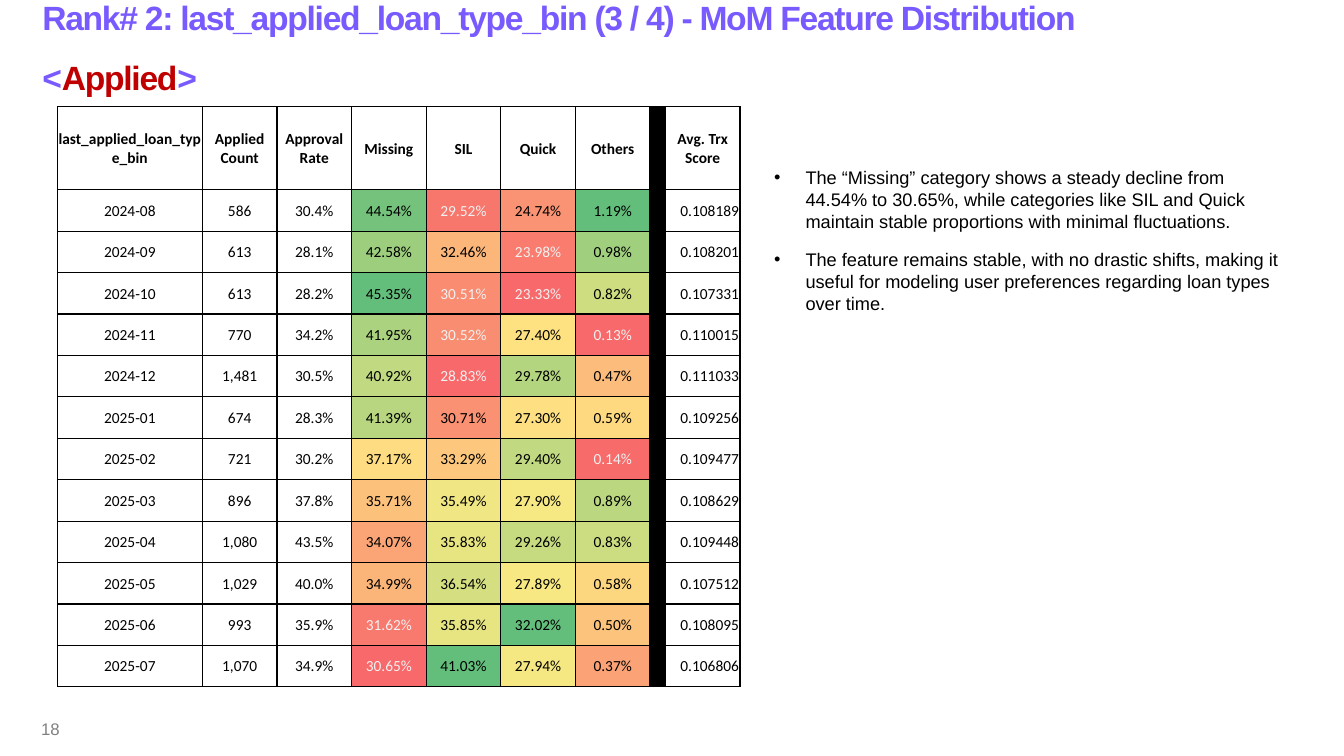
from pptx import Presentation
from pptx.dml.color import RGBColor
from pptx.enum.text import MSO_ANCHOR, MSO_AUTO_SIZE, PP_ALIGN
from pptx.oxml import parse_xml
from pptx.oxml.ns import nsdecls
from pptx.util import Pt

BLACK, WHITE, PALE = "000000", "FFFFFF", "F1F1F1"
LOW, MID, HIGH = (248, 105, 107), (255, 235, 132), (99, 190, 123)
HEADS = ["last_applied_loan_type_bin", "Applied Count", "Approval Rate",
         "Missing", "SIL", "Quick", "Others", "", "Avg. Trx Score"]
SHADED, BAR, SCORE = range(3, 7), 7, 8
MONTHS = [
    ("2024-08", 586, 30.4, 44.54, 29.52, 24.74, 1.19, 0.108189),
    ("2024-09", 613, 28.1, 42.58, 32.46, 23.98, 0.98, 0.108201),
    ("2024-10", 613, 28.2, 45.35, 30.51, 23.33, 0.82, 0.107331),
    ("2024-11", 770, 34.2, 41.95, 30.52, 27.40, 0.13, 0.110015),
    ("2024-12", 1481, 30.5, 40.92, 28.83, 29.78, 0.47, 0.111033),
    ("2025-01", 674, 28.3, 41.39, 30.71, 27.30, 0.59, 0.109256),
    ("2025-02", 721, 30.2, 37.17, 33.29, 29.40, 0.14, 0.109477),
    ("2025-03", 896, 37.8, 35.71, 35.49, 27.90, 0.89, 0.108629),
    ("2025-04", 1080, 43.5, 34.07, 35.83, 29.26, 0.83, 0.109448),
    ("2025-05", 1029, 40.0, 34.99, 36.54, 27.89, 0.58, 0.107512),
    ("2025-06", 993, 35.9, 31.62, 35.85, 32.02, 0.50, 0.108095),
    ("2025-07", 1070, 34.9, 30.65, 41.03, 27.94, 0.37, 0.106806),
]
NOTES = [
    "The “Missing” category shows a steady decline from 44.54% to 30.65%, while "
    "categories like SIL and Quick maintain stable proportions with minimal fluctuations.",
    "The feature remains stable, with no drastic shifts, making it useful for "
    "modeling user preferences regarding loan types over time.",
]


def paint(part, color):
    if hasattr(part, "solid"):
        part.solid()
        part.fore_color.rgb = RGBColor.from_string(color)
    else:
        part.color.rgb = RGBColor.from_string(color)


def style(font, name, size, color, bold=False):
    font.name, font.size, font.bold = name, Pt(size), bold
    paint(font, color)


def place(shape, left, top, width, height):
    shape.left, shape.top = Pt(left), Pt(top)
    shape.width, shape.height = Pt(width), Pt(height)


def add_title(slide, parts):
    title = slide.shapes.title
    place(title, 23, 0, 839.5, 52.6)
    frame = title.text_frame
    frame.word_wrap = True
    frame.auto_size = MSO_AUTO_SIZE.NONE
    frame.vertical_anchor = MSO_ANCHOR.MIDDLE
    para = frame.paragraphs[0]
    para.alignment, para.line_spacing = PP_ALIGN.LEFT, 1.5
    for text, color in parts:
        run = para.add_run()
        run.text = text
        style(run.font, "Arial", 24, color, True)
        run.font._element.set("spc", "-90")


def add_text(slide, box, lines, size, color, after, anchor, bullet=False):
    frame = slide.shapes.add_textbox(*map(Pt, box)).text_frame
    frame.word_wrap = True
    frame.vertical_anchor = anchor
    for i, line in enumerate(lines):
        para = frame.add_paragraph() if i else frame.paragraphs[0]
        para.text = line
        para.space_after = Pt(after)
        if bullet:
            props = para._p.get_or_add_pPr()
            props.set("marL", str(Pt(22.5)))
            props.set("indent", str(-Pt(22.5)))
            props.append(parse_xml(f'<a:buFont {nsdecls("a")} typeface="Arial"/>'))
            props.append(parse_xml(f'<a:buChar {nsdecls("a")} char="•"/>'))
        style(para.font, "Arial", size, color)


def shade(value, column):
    spot = (value - min(column)) / (max(column) - min(column))
    start, end = (LOW, MID) if spot < 0.5 else (MID, HIGH)
    part = spot * 2 % 1 if spot < 1 else 1
    fill = "".join(f"{int(a + (b - a) * part):02X}" for a, b in zip(start, end))
    return fill, PALE if spot < 0.15 else BLACK


def set_cell(cell, text, fill, color, align, bold):
    cell.margin_left = cell.margin_right = cell.margin_top = Pt(0.7)
    cell.margin_bottom = Pt(0)
    cell.vertical_anchor = MSO_ANCHOR.MIDDLE
    para = cell.text_frame.paragraphs[0]
    para.text, para.alignment = text, align
    style(para.font, "Calibri", 11, color, bold)
    props = cell._tc.get_or_add_tcPr()
    for side in ("lnL", "lnR", "lnT", "lnB"):
        props.append(parse_xml(
            f'<a:{side} {nsdecls("a")} w="{Pt(1)}"><a:solidFill>'
            f'<a:srgbClr val="{BLACK}"/></a:solidFill></a:{side}>'))
    paint(cell.fill, fill)


def add_grid(slide):
    widths = [103.6] + [53.3] * 6 + [11, 53.3]
    heights = [59.2] + [29.6] * len(MONTHS)
    box = (41, 76.3, sum(widths), sum(heights))
    table = slide.shapes.add_table(len(heights), len(widths), *map(Pt, box)).table
    table.horz_banding = False
    for column, width in zip(table.columns, widths):
        column.width = Pt(width)
    for row, height in zip(table.rows, heights):
        row.height = Pt(height)
    forms = ["{}", "{:,}", "{:.1f}%"] + ["{:.2f}%"] * 4 + ["{}", "{:.6f}"]
    rows = [month[:BAR] + ("",) + month[BAR:] for month in MONTHS]
    columns = list(zip(*rows))
    for c, head in enumerate(HEADS):
        base = BLACK if c == BAR else WHITE
        align = PP_ALIGN.RIGHT if c == SCORE else PP_ALIGN.CENTER
        set_cell(table.cell(0, c), head, base, BLACK, PP_ALIGN.CENTER, True)
        for r, value in enumerate(columns[c], 1):
            fill, color = shade(value, columns[c]) if c in SHADED else (base, BLACK)
            set_cell(table.cell(r, c), forms[c].format(value), fill, color, align, False)


def main():
    deck = Presentation()
    deck.slide_width, deck.slide_height = Pt(960), Pt(540)
    slide = deck.slides.add_slide(deck.slide_layouts[5])
    add_title(slide, [
        ("Rank# 2: last_applied_loan_type_bin (3 / 4) - MoM Feature Distribution <", "785AFF"),
        ("Applied", "C00000"), (">", "785AFF")])
    add_text(slide, (22.3, 506.2, 216, 28.8), ["18"], 12, "808080", 6, MSO_ANCHOR.MIDDLE)
    add_text(slide, (545.8, 115.2, 380.9, 113.8), NOTES, 13, BLACK, 12, MSO_ANCHOR.TOP, True)
    add_grid(slide)
    deck.save("out.pptx")


if __name__ == "__main__":
    main()
